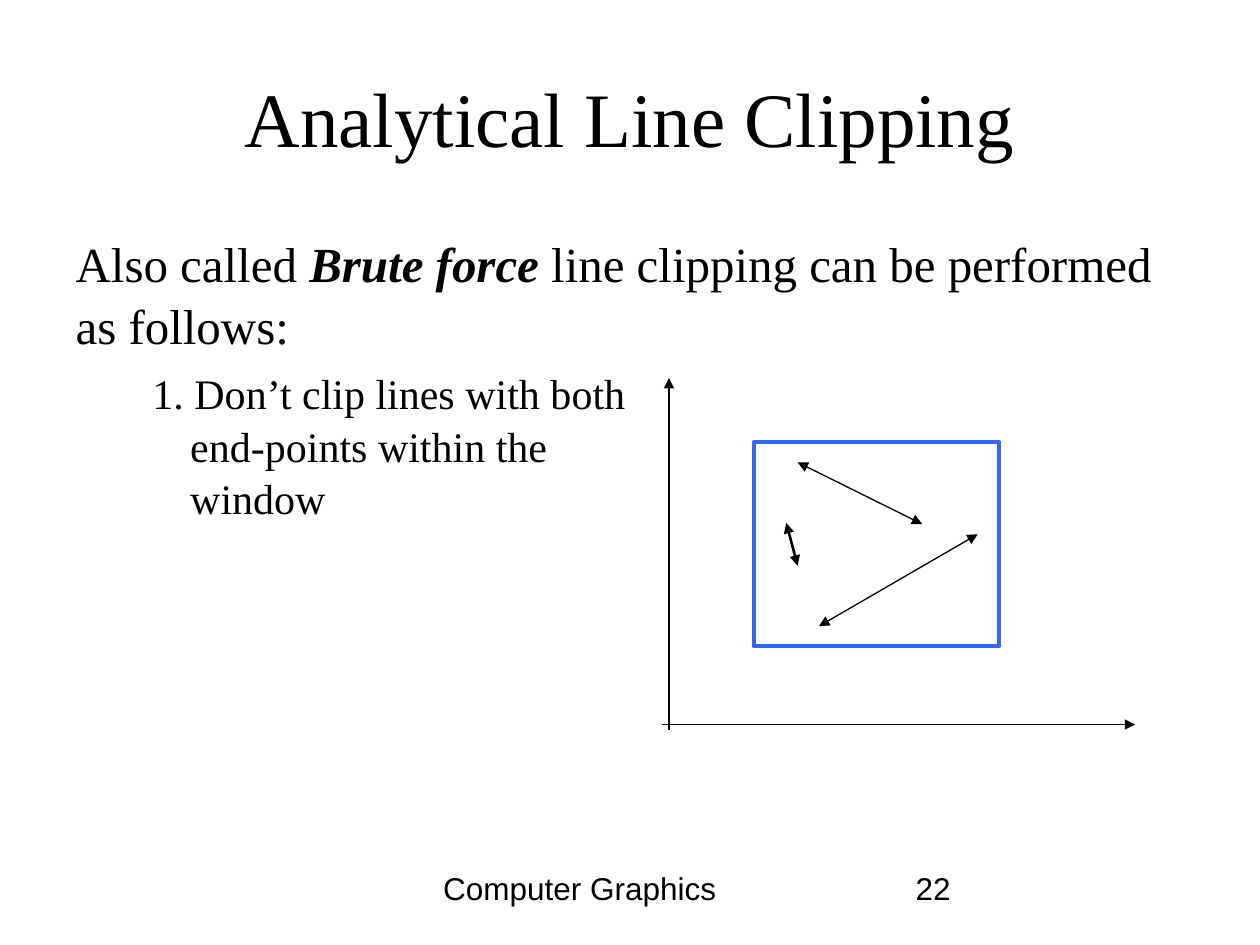
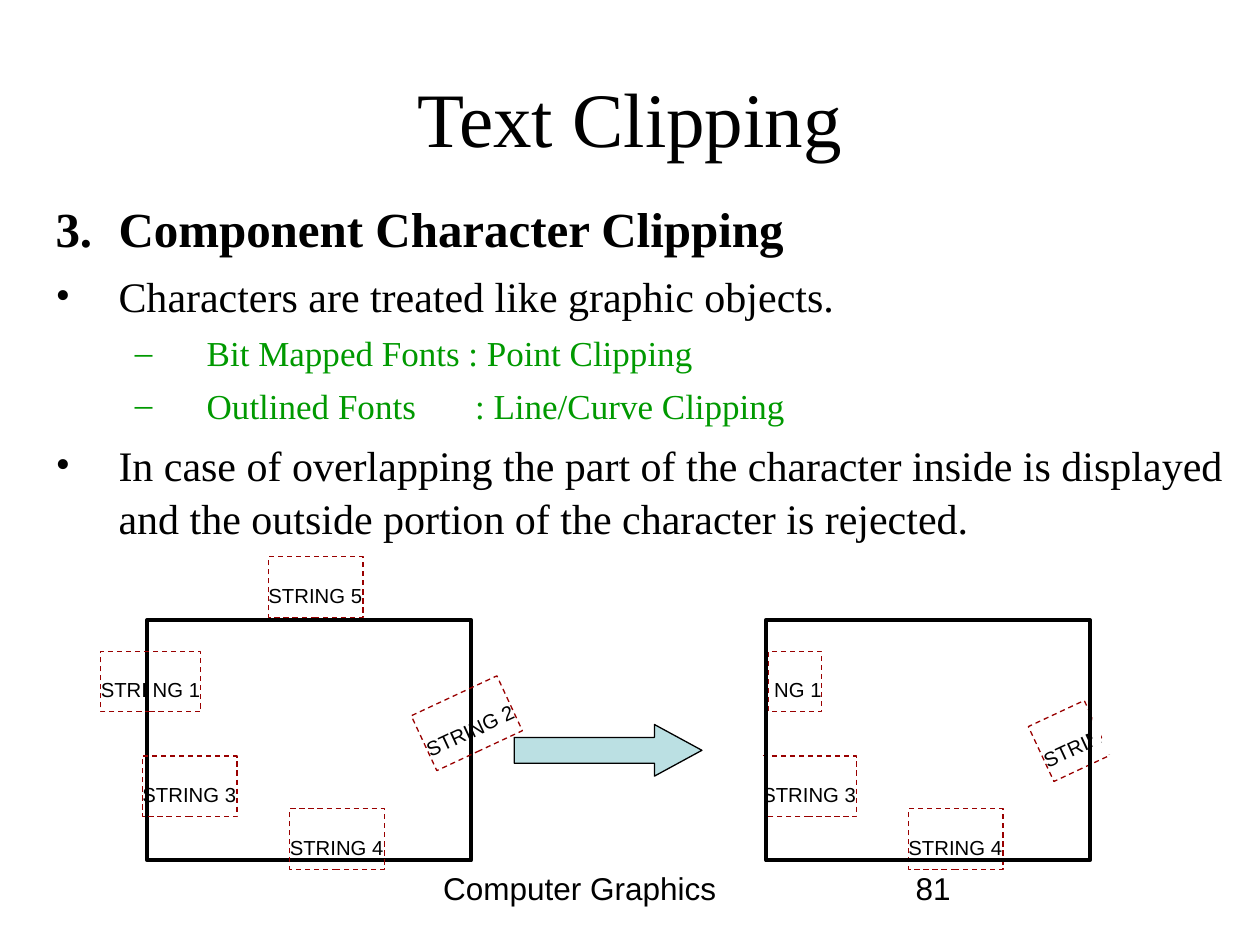
"""Build two lecture slides on line clipping and text clipping."""
import pptx
import pptx.util
import pptx.dml.color
import pptx.enum.dml
import pptx.enum.shapes
import pptx.enum.text
import pptx.oxml.ns
import lxml.etree

Pt = pptx.util.Pt
RGB = pptx.dml.color.RGBColor.from_string
SHAPE = pptx.enum.shapes.MSO_SHAPE
TEXT = pptx.enum.text
qn = pptx.oxml.ns.qn
sub = lxml.etree.SubElement

INK = {"black": "000000", "white": "FFFFFF", "blue": "3366FF",
       "green": "009900", "red": "990000", "pale": "BBE0E3"}
SERIF, SANS = "Times New Roman", "Arial"


def write(para, text, size, font=SERIF, ink="black", bold=False, slant=False):
    run = para.add_run()
    run.text = text
    run.font.name = font
    run.font.size = Pt(size)
    run.font.bold = bold
    run.font.italic = slant
    run.font.color.rgb = RGB(INK[ink])
    return run


def draw(slide, kind, spot, line=None, width=0.75, fill=None):
    shape = slide.shapes.add_shape(kind, *map(Pt, spot))
    shape.shadow.inherit = False
    if fill:
        shape.fill.solid()
        shape.fill.fore_color.rgb = RGB(INK[fill])
    else:
        shape.fill.background()
    if line:
        shape.line.color.rgb = RGB(INK[line])
        shape.line.width = Pt(width)
    else:
        shape.line.fill.background()
    return shape


deck = pptx.Presentation()
deck.slide_width, deck.slide_height = Pt(720), Pt(540)

# Paragraph: level, size, ink, bullet, left indent, first indent, tab, runs
# Run: text, bold, slant
pages = [
    ("Analytical Line Clipping", "22", (36, 128.2, 648, 353.5), [
        (0, 28, "black", None, 0, 0, None,
         [("Also called ", False, False), ("Brute force", True, True),
          (" line clipping can be performed as follows:", False, False)]),
        (1, 24, "black", None, 65.5, -21.6, None,
         [("1. Don’t clip lines with both \vend-points within the \vwindow",
           False, False)]),
    ]),
    ("Text Clipping", "81", (23.8, 108, 696.2, 356.4), [
        (0, 28, "black", None, 36.7, -36, 36.7,
         [("3.\tComponent Character Clipping", True, False)]),
        (0, 24, "black", "•", 36.7, -36, None,
         [("Characters are treated like graphic objects.", False, False)]),
        (1, 20, "green", "–", 87.1, -41, None,
         [("Bit Mapped Fonts : Point Clipping", False, False)]),
        (1, 20, "green", "–", 87.1, -41, 240.5,
         [("Outlined Fonts\t: Line/Curve Clipping", False, False)]),
        (0, 24, "black", "•", 36.7, -36, None,
         [("In case of overlapping the part of the character inside is "
           "displayed and the outside portion of the character is rejected.",
           False, False)]),
    ]),
]

for name, page, place, paras in pages:
    slide = deck.slides.add_slide(deck.slide_layouts[1])
    title, body = slide.placeholders
    for holder, spot in ((title, (36, 21.6, 648, 90)), (body, place)):
        holder.left, holder.top, holder.width, holder.height = map(Pt, spot)
        holder.text_frame.auto_size = TEXT.MSO_AUTO_SIZE.NONE
    title.text_frame.vertical_anchor = TEXT.MSO_ANCHOR.MIDDLE
    head = title.text_frame.paragraphs[0]
    head.alignment = TEXT.PP_ALIGN.CENTER
    write(head, name, 44)

    for num, (level, size, ink, mark, left, first, tab, runs) in enumerate(paras):
        frame = body.text_frame
        para = frame.add_paragraph() if num else frame.paragraphs[0]
        para.level = level
        para.line_spacing = 1.05
        para.space_before = Pt(size / 4)
        props = para._p.get_or_add_pPr()
        props.set("marL", str(Pt(left)))
        props.set("indent", str(Pt(first)))
        if mark:
            sub(props, qn("a:buFont"), typeface=SERIF)
            sub(props, qn("a:buChar"), char=mark)
        else:
            sub(props, qn("a:buNone"))
        if tab:
            stops = sub(props, qn("a:tabLst"))
            sub(stops, qn("a:tab"), pos=str(Pt(tab)), algn="l")
        for text, bold, slant in runs:
            for row, part in enumerate(text.split("\v")):
                if row:
                    para.add_line_break()
                write(para, part, size, SERIF, ink, bold, slant)

    for text, left, width in (("Computer Graphics", 246.2, 227.5),
                              (page, 516.2, 167)):
        foot = slide.shapes.add_textbox(Pt(left), Pt(491.8), Pt(width), Pt(36.7))
        foot.text_frame.word_wrap = True
        para = foot.text_frame.paragraphs[0]
        para.line_spacing = 1.05
        write(para, text, 18, SANS)

lines, strings = deck.slides

draw(lines, SHAPE.RECTANGLE, (430.6, 252.7, 140.4, 116.6), "blue", 2.25)
for ends, width, both in (
        ((378, 414, 648.7, 414), 0.75, False),
        ((382.3, 416.9, 382.3, 216), 0.75, False),
        ((468, 357.8, 558.7, 305.3), 0.75, True),
        ((455.8, 264.2, 527, 299.5), 0.75, True),
        ((455.8, 323.3, 449.3, 298.8), 1.5, True)):
    arrow = lines.shapes.add_connector(
        pptx.enum.shapes.MSO_CONNECTOR.STRAIGHT, *map(Pt, ends))
    arrow.line.color.rgb = RGB(INK["black"])
    arrow.line.width = Pt(width)
    stroke = arrow.line._get_or_add_ln()
    if both:
        sub(stroke, qn("a:headEnd"), type="triangle")
    sub(stroke, qn("a:tailEnd"), type="triangle")
    sub(arrow._element.spPr, qn("a:effectLst"))

draw(strings, SHAPE.RECTANGLE, (84.2, 354.2, 185, 137.5), "black", 2.25)
for text, left, top, width, turn in (
        ("STRI NG 1", 57.6, 372.2, 56.9, 0),
        ("STRING 2", 239.8, 396, 54, 335),
        ("STRING 3", 81.4, 432, 54, 0),
        ("STRING 4", 165.6, 462.2, 54, 0),
        ("STRING 5", 153.4, 318.2, 54, 0),
        (" NG 1", 439.2, 372.2, 30.2, 0),
        ("STRING 4", 519.1, 462.2, 54, 0),
        ("STRIN", 593.3, 406.1, 35.3, 335),
        ("STRING 3", 435.6, 432, 54, 0)):
    label = draw(strings, SHAPE.RECTANGLE, (left, top, width, 34.6), "red")
    label.line.dash_style = pptx.enum.dml.MSO_LINE.DASH
    label.rotation = turn
    frame = label.text_frame
    frame.word_wrap = False
    frame.vertical_anchor = TEXT.MSO_ANCHOR.TOP
    frame.margin_left = frame.margin_top = frame.margin_right = 0
    frame.margin_bottom = Pt(7.2)
    para = frame.paragraphs[0]
    para.alignment = TEXT.PP_ALIGN.LEFT
    para.line_spacing = 1.05
    run = write(para, text, 20, SANS)
    run._r.get_or_add_rPr().set("baseline", "-25000")

arrow = draw(strings, SHAPE.RIGHT_ARROW, (293.8, 414, 107.3, 29.5),
             "black", fill="pale")
arrow.adjustments[1] = 0.92
for patch in ((624.2, 396, 5, 29.5), (630, 414, 11.5, 17.3),
              (426.2, 432, 11.5, 35.3)):
    draw(strings, SHAPE.RECTANGLE, patch, fill="white")
draw(strings, SHAPE.RECTANGLE, (437.8, 354.2, 185, 137.5), "black", 2.25)

deck.save("out.pptx")
